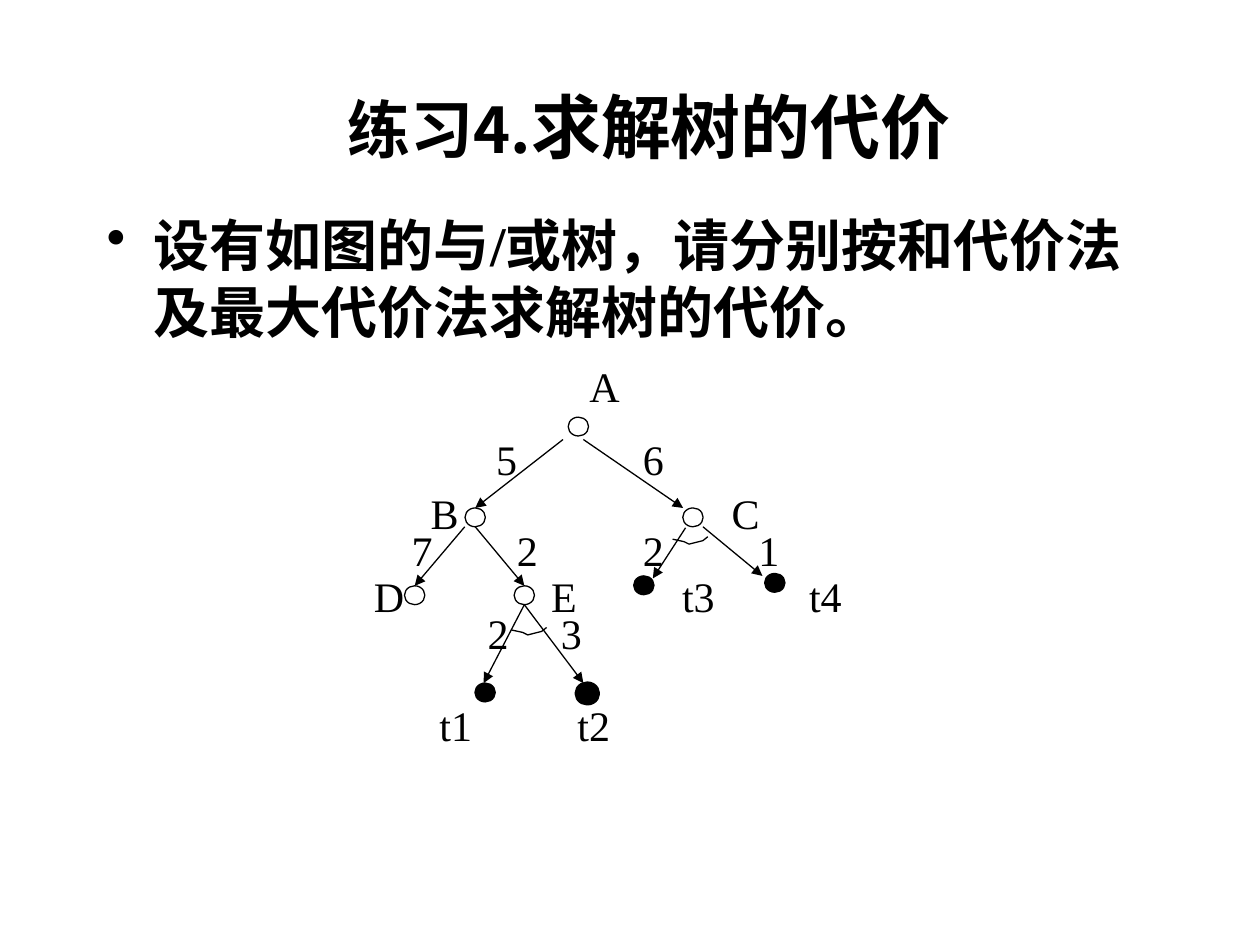
from dataclasses import dataclass
from typing import Any

from lxml import etree
from pptx import Presentation
from pptx.dml.color import RGBColor
from pptx.enum.shapes import MSO_CONNECTOR, MSO_SHAPE
from pptx.enum.text import MSO_ANCHOR, PP_ALIGN
from pptx.oxml.ns import qn
from pptx.util import Cm, Pt

ELLIPSE = MSO_SHAPE.OVAL
STRAIGHT = MSO_CONNECTOR.STRAIGHT
MIDDLE = MSO_ANCHOR.MIDDLE
TOP = MSO_ANCHOR.TOP
CENTER = PP_ALIGN.CENTER

NODES = [
    (11.66, 8.6, False, 0.75),
    (9.58, 10.43, False, 0.75),
    (13.97, 10.43, False, 0.75),
    (8.36, 12, False, 0.75),
    (10.57, 12, False, 0.75),
    (9.78, 13.96, True, 0.75),
    (11.84, 13.98, True, 3),
    (12.98, 11.8, True, 0.75),
    (15.62, 11.75, True, 0.75),
]
EDGES = [
    (11.35, 8.86, 9.58, 10.24),
    (11.76, 8.86, 13.77, 10.24),
    (9.37, 10.62, 8.36, 11.81),
    (9.58, 10.62, 10.57, 11.81),
    (13.82, 10.64, 13.16, 11.66),
    (14.17, 10.62, 15.37, 11.61),
    (10.57, 12.19, 9.75, 13.77),
    (10.57, 12.19, 11.76, 13.77),
]
AND_ARCS = [(13.56, 10.87), (10.31, 12.7)]
ARC_STEPS = [(0.23, 0.05), (0.33, 0.1), (0.61, 0.03), (0.71, -0.05)]
LABEL_ROWS = [
    (11.63, 7.14, 1.7, ["A"], []),
    (9.75, 8.61, 4.17, ["5", "6"], [2.96]),
    (8.43, 9.7, 7.21, ["B", "C"], [6.07]),
    (8.05, 10.44, 8.61, ["7", "2", "2", "1"], [2.12, 4.66, 6.99]),
    (7.29, 11.38, 10.21, ["D", "E", "t3", "t4"], [3.57, 6.21, 8.77]),
    (9.58, 12.12, 3.58, ["2", "3"], [1.48]),
    (8.61, 13.97, 5.31, ["t1", "t2"], [2.78]),
]


def color(value):
    return RGBColor.from_string(value)


@dataclass
class TreePage:
    """Draws the parts of an and/or tree exercise on one slide."""

    page: Any
    ink: str = "000000"
    heading_font: str = "Noto Sans CJK SC"
    label_font: str = "Times New Roman"

    def style_font(self, font, name, size, bold=False):
        font.name = name
        font.size = Pt(size)
        font.bold = bold
        font.color.rgb = color(self.ink)

    def add_spans(self, para, spans):
        for text, name, size in spans:
            span = para.add_run()
            span.text = text
            self.style_font(span.font, name, size, True)
            east_asian = etree.Element(qn("a:ea"), typeface=self.heading_font)
            span.font._element.find(qn("a:latin")).addnext(east_asian)

    def title(self, left, top, width, height, spans):
        box = self.page.shapes.title
        box.left, box.top = Cm(left), Cm(top)
        box.width, box.height = Cm(width), Cm(height)
        box.text_frame.vertical_anchor = MIDDLE
        para = box.text_frame.paragraphs[0]
        para.alignment = CENTER
        self.add_spans(para, spans)

    def text_box(self, left, top, width, height):
        box = self.page.shapes.add_textbox(Cm(left), Cm(top), Cm(width), Cm(height))
        box.text_frame.word_wrap = True
        box.text_frame.vertical_anchor = TOP
        return box.text_frame.paragraphs[0]

    def bullet(self, left, top, width, height, spans):
        para = self.text_box(left, top, width, height)
        properties = para._p.get_or_add_pPr()
        properties.set("marL", str(Cm(0.95)))
        properties.set("indent", str(-Cm(0.95)))
        etree.SubElement(properties, qn("a:buChar"), char="•")
        self.add_spans(para, spans)

    def label_row(self, left, top, width, labels, stops):
        para = self.text_box(left, top, width, 1.27)
        para.text = "\t".join(labels)
        if stops:
            tabs = etree.SubElement(para._p.get_or_add_pPr(), qn("a:tabLst"))
            for stop in stops:
                etree.SubElement(tabs, qn("a:tab"), pos=str(Cm(stop)), algn="l")
        self.style_font(para.font, self.label_font, 24)

    def outline(self, shape, weight=0.75):
        shape.line.color.rgb = color(self.ink)
        shape.line.width = Pt(weight)

    def node(self, x, y, solved, weight, width=0.41, height=0.38):
        shape = self.page.shapes.add_shape(
            ELLIPSE, Cm(x - width / 2), Cm(y - height / 2), Cm(width), Cm(height))
        shape.shadow.inherit = False
        if solved:
            shape.fill.solid()
            shape.fill.fore_color.rgb = color(self.ink)
        else:
            shape.fill.background()
        self.outline(shape, weight)

    def arrow(self, *ends):
        line = self.page.shapes.add_connector(STRAIGHT, *map(Cm, ends))
        self.outline(line)
        etree.SubElement(line.line._get_or_add_ln(), qn("a:tailEnd"), type="triangle")
        etree.SubElement(line._element.spPr, qn("a:effectLst"))

    def and_arc(self, x, y):
        builder = self.page.shapes.build_freeform(Cm(x), Cm(y))
        points = [(Cm(x + dx), Cm(y + dy)) for dx, dy in ARC_STEPS]
        builder.add_line_segments(points, close=False)
        shape = builder.convert_to_shape()
        shape.shadow.inherit = False
        shape.fill.background()
        self.outline(shape)


def main():
    deck = Presentation()
    deck.slide_width, deck.slide_height = Cm(25.4), Cm(19.05)
    tree = TreePage(deck.slides.add_slide(deck.slide_layouts[5]))
    heading, latin = tree.heading_font, tree.label_font
    tree.title(2.29, 1.52, 21.59, 2.01,
               [("练习4.", heading, 36), ("求解树的代价", heading, 40)])
    tree.bullet(1.9, 4.11, 21.59, 14.1, [
        ("设有如图的与", heading, 32),
        ("/", latin, 32),
        ("或树，请分别按和代价法及最大代价法求解树的代价。", heading, 32),
    ])
    for node in NODES:
        tree.node(*node)
    for edge in EDGES:
        tree.arrow(*edge)
    for arc in AND_ARCS:
        tree.and_arc(*arc)
    for row in LABEL_ROWS:
        tree.label_row(*row)
    deck.save("out.pptx")


if __name__ == "__main__":
    main()
